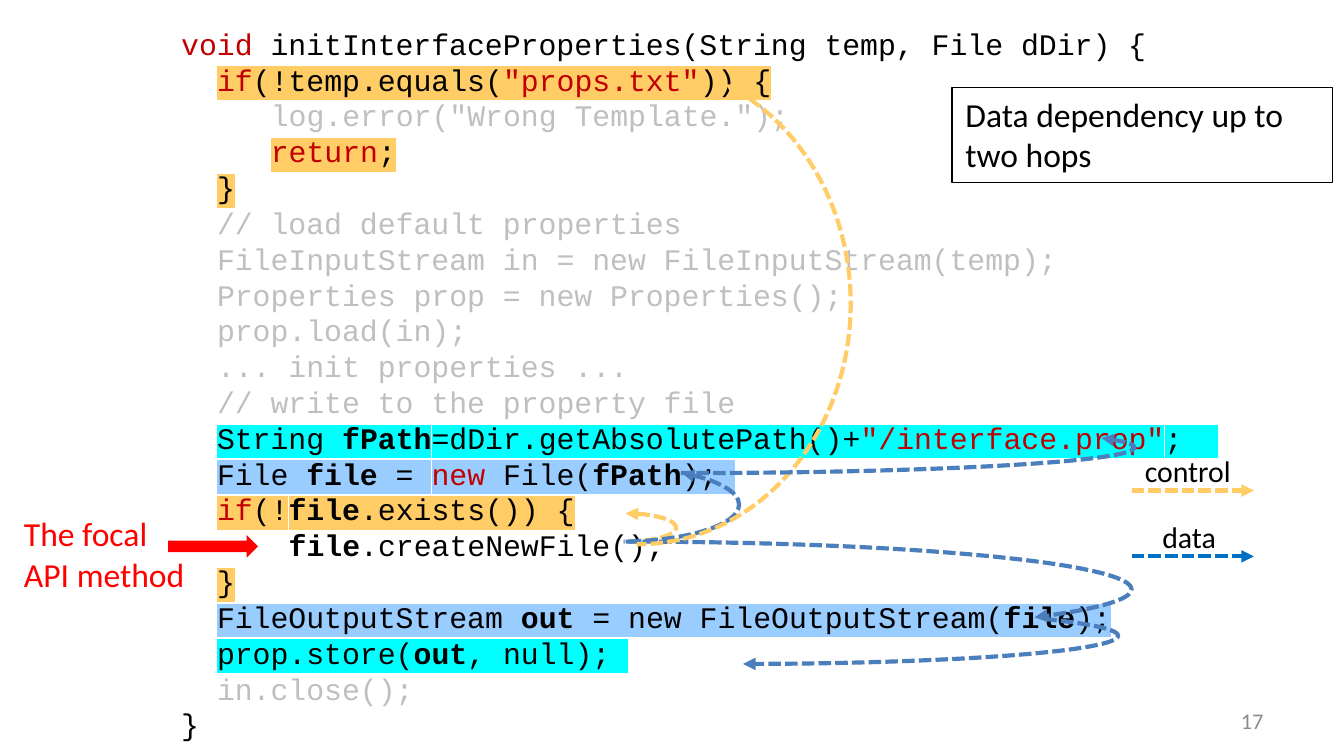
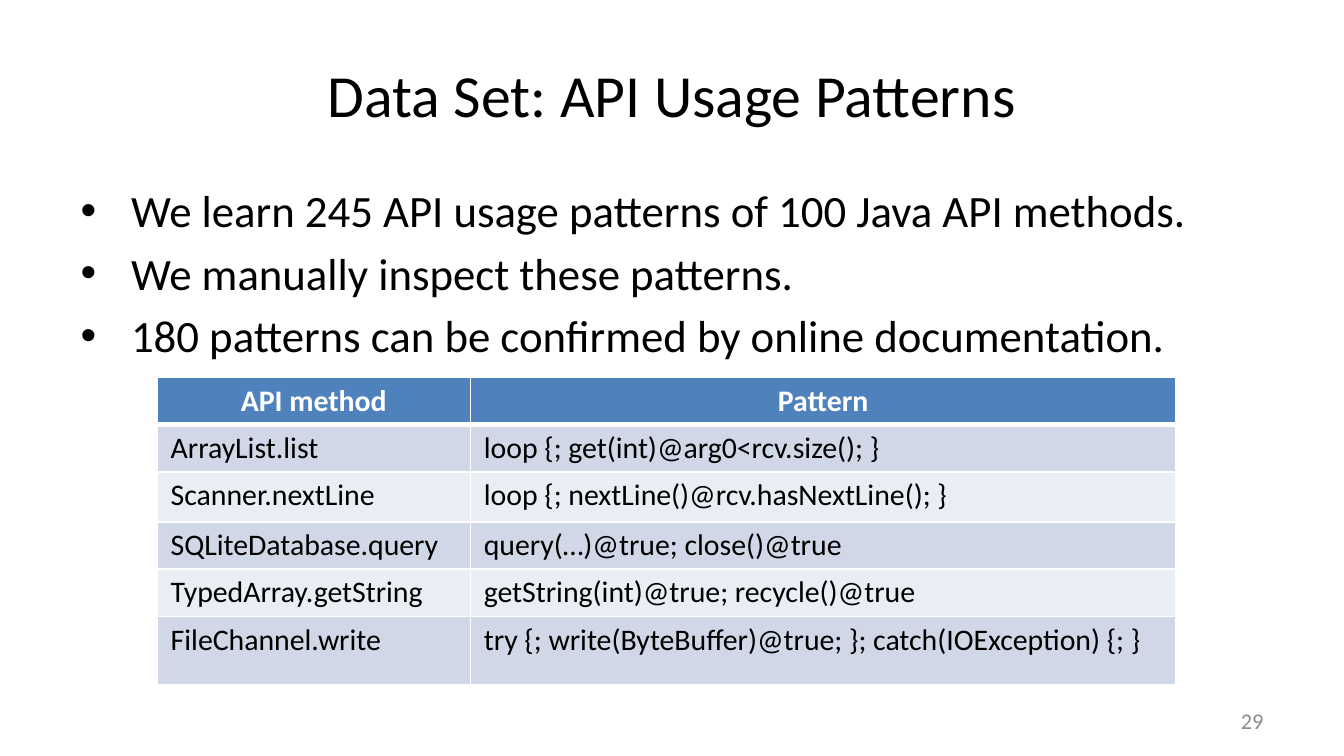
"""Builds two slides: a code example with its dependencies and a table of API usage patterns."""
from dataclasses import dataclass

from lxml.etree import SubElement
from pptx import Presentation
from pptx.dml.color import RGBColor
from pptx.enum.dml import MSO_LINE
from pptx.enum.shapes import MSO_CONNECTOR, MSO_SHAPE
from pptx.enum.text import MSO_ANCHOR, MSO_AUTO_SIZE, PP_ALIGN
from pptx.oxml.ns import qn
from pptx.util import Pt

PX = 4572


@dataclass(frozen=True)
class Theme:
    font: str = "Calibri"
    code_font: str = "Courier New"
    black: str = "000000"
    white: str = "FFFFFF"
    red: str = "FF0000"
    keyword: str = "C00000"
    faded: str = "BFBFBF"
    number: str = "8C8C8C"
    control: str = "FFCC66"
    data: str = "4B7EBC"
    data_key: str = "0070C0"
    one_hop: str = "99CCFF"
    two_hops: str = "00FFFF"
    header: str = "4F81BD"
    bands: tuple = ("D0D8E8", "E9EDF4")
    title_size: int = 32
    body_size: int = 24
    note_size: int = 18
    text_size: int = 16
    number_size: int = 12
    code_leading: float = 19.2
    dash_width: float = 2.25


THEME = Theme()


def write(paragraph, text, *, size=THEME.text_size, color=THEME.black,
          font=THEME.font, bold=False, highlight=None):
    run = paragraph.add_run()
    run.text = text
    run.font.size = Pt(size)
    run.font.name = font
    run.font.bold = bold
    run.font.color.rgb = RGBColor.from_string(color)
    if highlight:
        properties = run.font._element
        marker = SubElement(properties, qn("a:highlight"))
        SubElement(marker, qn("a:srgbClr"), val=highlight)
        properties.find(qn("a:solidFill")).addnext(marker)


def dash(shape, color, arrow_end):
    shape.line.color.rgb = RGBColor.from_string(color)
    shape.line.width = Pt(THEME.dash_width)
    shape.line.dash_style = MSO_LINE.SQUARE_DOT
    outline = shape.element.spPr.find(qn("a:ln"))
    SubElement(outline, qn(f"a:{arrow_end}"), type="triangle")
    SubElement(shape.element.spPr, qn("a:effectLst"))


deck = Presentation()
deck.slide_width = 2000 * PX
deck.slide_height = 1125 * PX
example = deck.slides.add_slide(deck.slide_layouts[6])
patterns = deck.slides.add_slide(deck.slide_layouts[1])

PLAIN = {}
BOLD = {"bold": True}
KEY = {"color": THEME.keyword}
FADED = {"color": THEME.faded}
code_lines = [
    (0, None, [("void ", KEY), ("initInterfaceProperties(String temp, File dDir) {", PLAIN)]),
    (2, THEME.control, [("if", KEY), ("(!temp.equals(", PLAIN), ('"props.txt"', KEY), (")) {", PLAIN)]),
    (5, None, [('log.error("Wrong Template.");', FADED)]),
    (5, THEME.control, [("return", KEY), (";", PLAIN)]),
    (2, THEME.control, [("}", PLAIN)]),
    (2, None, [("// load default properties", FADED)]),
    (2, None, [("FileInputStream in = new FileInputStream(temp);", FADED)]),
    (2, None, [("Properties prop = new Properties();", FADED)]),
    (2, None, [("prop.load(in);", FADED)]),
    (2, None, [("... init properties ...", FADED)]),
    (2, None, [("// write to the property file", FADED)]),
    (2, THEME.two_hops, [("String ", PLAIN), ("fPath", BOLD), ("=dDir.getAbsolutePath()+", PLAIN),
                         ('"/interface.prop"', KEY), (";  ", PLAIN)]),
    (2, THEME.one_hop, [("File ", PLAIN), ("file", BOLD), (" = ", PLAIN), ("new ", KEY),
                        ("File(", PLAIN), ("fPath", BOLD), ("); ", PLAIN)]),
    (2, THEME.control, [("if", KEY), ("(!", PLAIN), ("file", BOLD), (".exists()) {", PLAIN)]),
    (6, None, [("file", BOLD), (".createNewFile();", PLAIN)]),
    (2, THEME.control, [("}", PLAIN)]),
    (2, THEME.one_hop, [("FileOutputStream ", PLAIN), ("out", BOLD),
                        (" = new FileOutputStream(", PLAIN), ("file", BOLD), (");", PLAIN)]),
    (2, THEME.two_hops, [("prop.store(", PLAIN), ("out", BOLD), (", null); ", PLAIN)]),
    (2, None, [("in.close();", FADED)]),
    (0, None, [("}", PLAIN)]),
]
code = example.shapes.add_textbox(250 * PX, 28 * PX, 1616 * PX, 1098 * PX).text_frame
code.word_wrap = True
column_width = Pt(THEME.text_size * 0.6)
for row, (columns, highlight, parts) in enumerate(code_lines):
    line = code.paragraphs[0] if row == 0 else code.add_paragraph()
    line.line_spacing = Pt(THEME.code_leading)
    if columns:
        line._p.get_or_add_pPr().set("marL", str(columns * column_width))
    for text, look in parts:
        write(line, text, font=THEME.code_font, highlight=highlight, **look)

focal_arrow = example.shapes.add_shape(MSO_SHAPE.LEFT_ARROW, 250 * PX, 796 * PX, 134 * PX, 34 * PX)
focal_arrow.rotation = 180
focal_arrow.shadow.inherit = False
focal_arrow.fill.solid()
focal_arrow.fill.fore_color.rgb = RGBColor.from_string(THEME.red)
focal_arrow.line.fill.background()

dependencies = [
    ((856, 764, 150, 42), (270, 80.17), THEME.control, "headEnd"),
    ((746, 696, 354, 110), (332.84, 84.84), THEME.data, "headEnd"),
    ((178, 806, 1506, 142), (270, 3.93), THEME.data, "tailEnd"),
    ((634, 94, 632, 716), (291.64, 90.42), THEME.control, "headEnd"),
    ((338, 628, 1350, 76), (358.7, 89.51), THEME.data, "headEnd"),
    ((536, 904, 1128, 84), (356.86, 82.15), THEME.data, "tailEnd"),
]
for box, angles, color, arrow_end in dependencies:
    dependency = example.shapes.add_shape(MSO_SHAPE.ARC, *(n * PX for n in box))
    for index, angle in enumerate(angles):
        dependency.adjustments[index] = angle * 0.6
    dependency.fill.background()
    dash(dependency, color, arrow_end)

for y, color in ((730, THEME.control), (828, THEME.data_key)):
    key = example.shapes.add_connector(MSO_CONNECTOR.STRAIGHT, 1684 * PX, y * PX, 1866 * PX, y * PX)
    dash(key, color, "tailEnd")

notes = [
    ((1417, 130, 566, 142), "Data dependency up to two hops", THEME.note_size, THEME.black, True, True),
    ((16, 754, 284, 142), "The focal API method", THEME.note_size, THEME.red, True, False),
    ((1710, 762, 120, 74), "data", THEME.text_size, THEME.black, False, False),
    ((1684, 664, 170, 90), "control", THEME.text_size, THEME.black, False, False),
]
for box, text, size, color, wraps, framed in notes:
    note = example.shapes.add_textbox(*(n * PX for n in box))
    note.text_frame.word_wrap = wraps
    note.text_frame.auto_size = MSO_AUTO_SIZE.SHAPE_TO_FIT_TEXT
    write(note.text_frame.paragraphs[0], text, size=size, color=color)
    if framed:
        note.line.color.rgb = RGBColor.from_string(THEME.black)
        note.line.width = Pt(0.75)

title = patterns.shapes.title
title.left, title.top, title.width, title.height = (n * PX for n in (100, 46, 1800, 188))
title.text_frame.vertical_anchor = MSO_ANCHOR.MIDDLE
title.text_frame.paragraphs[0].alignment = PP_ALIGN.CENTER
write(title.text_frame.paragraphs[0], "Data Set: API Usage Patterns", size=THEME.title_size)

findings = patterns.placeholders[1]
findings.left, findings.top, findings.width, findings.height = (n * PX for n in (100, 262, 1800, 742))
findings.text_frame.auto_size = MSO_AUTO_SIZE.NONE
for row, text in enumerate((
    "We learn 245 API usage patterns of 100 Java API methods.",
    "We manually inspect these patterns.",
    "180 patterns can be confirmed by online documentation.",
)):
    frame = findings.text_frame
    finding = frame.paragraphs[0] if row == 0 else frame.add_paragraph()
    write(finding, text, size=THEME.body_size)

pattern_rows = [
    ("API method", "Pattern"),
    ("ArrayList.list", "loop {; get(int)@arg0<rcv.size(); }"),
    ("Scanner.nextLine", "loop {; nextLine()@rcv.hasNextLine(); }"),
    ("SQLiteDatabase.query", "query(…)@true; close()@true"),
    ("TypedArray.getString", "getString(int)@true; recycle()@true"),
    ("FileChannel.write", "try {; write(ByteBuffer)@true; }; catch(IOException) {; }"),
]
row_heights = (66, 68, 74, 68, 68, 102)
column_widths = (466, 1050)
table = patterns.shapes.add_table(
    len(row_heights), len(column_widths), 234 * PX, 562 * PX,
    sum(column_widths) * PX, sum(row_heights) * PX).table
for column, width in zip(table.columns, column_widths):
    column.width = width * PX
for row, (height, texts) in enumerate(zip(row_heights, pattern_rows)):
    table.rows[row].height = height * PX
    is_header = row == 0
    for column, text in enumerate(texts):
        cell = table.cell(row, column)
        cell.margin_left = cell.margin_right = 20 * PX
        cell.margin_top = cell.margin_bottom = 8 * PX
        for side in ("lnL", "lnR", "lnT", "lnB"):
            thick = (is_header and side == "lnB") or (row == 1 and side == "lnT")
            border = SubElement(cell._tc.get_or_add_tcPr(), qn(f"a:{side}"), w=str(Pt(3 if thick else 1)))
            SubElement(SubElement(border, qn("a:solidFill")), qn("a:srgbClr"), val=THEME.white)
        cell.fill.solid()
        fill = THEME.header if is_header else THEME.bands[(row - 1) % 2]
        cell.fill.fore_color.rgb = RGBColor.from_string(fill)
        entry = cell.text_frame.paragraphs[0]
        entry.alignment = PP_ALIGN.CENTER if is_header else PP_ALIGN.LEFT
        write(entry, text, color=THEME.white if is_header else THEME.black, bold=is_header)

for slide, number in ((example, "17"), (patterns, "29")):
    footer = slide.shapes.add_textbox(1434 * PX, 1042 * PX, 466 * PX, 60 * PX).text_frame
    footer.word_wrap = True
    footer.vertical_anchor = MSO_ANCHOR.MIDDLE
    footer.paragraphs[0].alignment = PP_ALIGN.RIGHT
    write(footer.paragraphs[0], number, size=THEME.number_size, color=THEME.number)

deck.save("out.pptx")
